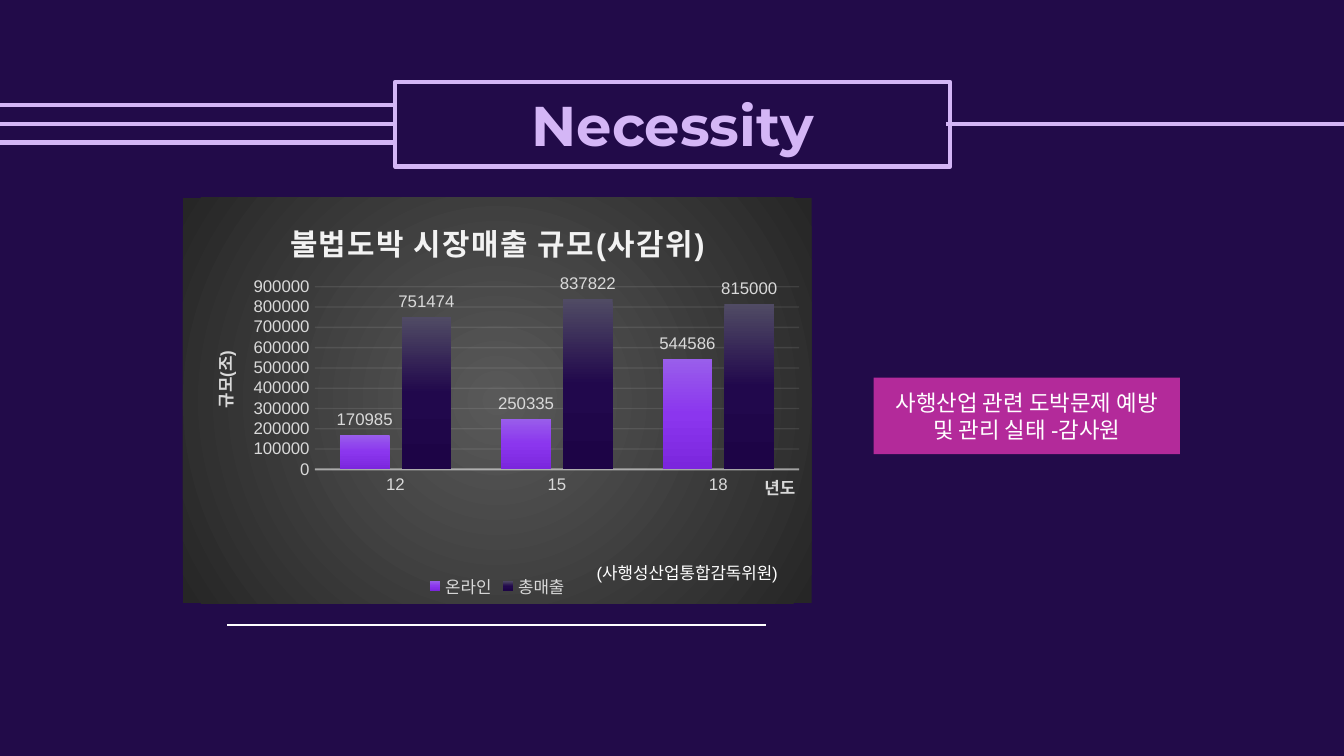
from lxml import etree
from pptx import Presentation
from pptx.chart.data import CategoryChartData
from pptx.dml.color import RGBColor
from pptx.enum import chart as ch, shapes, text
from pptx.oxml import parse_xml
from pptx.oxml.ns import nsdecls, qn
from pptx.util import Inches, Pt

# Content
HEADING = "Necessity"
SOURCE_NOTE = "사행산업 관련 도박문제 예방 및 관리 실태 -감사원"
COMMITTEE = "(사행성산업통합감독위원)"
CHART_TITLE = "불법도박 시장매출 규모(사감위)"
YEAR_TITLE, SCALE_TITLE = "년도", "규모(조)"
YEARS = ["12", "15", "18"]
SALES = [
    ("온라인", [170985, 250335, 544586], ["995EEB", "8B36EE", "7B26DD"]),
    ("총매출", [751474, 837822, 815000], ["504B64", "21084C", "1D0446"]),
]
COLORS = {"back": "220B49", "lilac": "D4B6F6", "pink": "B32A9A",
          "white": "FFFFFF", "label": "D9D9D9", "pale": "F2F2F2"}
PANEL = ["595959", "262626"]

# Layout in inches: left, top, width, height
SLIDE_W = 10
SLIDE_H = SLIDE_W * 9 / 16
BANNER = (2.94, 0.61, 4.13, 0.63)
NOTE = (6.5, 2.81, 2.28, 0.57)
CHART = (1.36, 1.47, 4.68, 3.02)
CAPTION = (4.34, 4.14, 2.31, 0.25)
RAIL_Y, RAIL_GAP = 0.92, 0.14
RAIL_START, RAIL_END = -0.02, 10.09
# Shares of the chart's size
PLOT = (0.21, 0.22, 0.77, 0.45)
YEAR_AT, SCALE_AT = (0.92, 0.67), (0.04, 0.37)


def rgb(name):
    return RGBColor.from_string(COLORS[name])


def box(at):
    return [Inches(v) for v in at]


def style(font, size, color, bold=False, face="Arial"):
    font.size, font.bold, font.name = Pt(size), bold, face
    font.color.rgb = rgb(color)


def rule(x1, x2, y, color, width):
    line = slide.shapes.add_connector(
        shapes.MSO_CONNECTOR.STRAIGHT, *box((x1, y, x2, y)))
    line.line.color.rgb, line.line.width = rgb(color), Pt(width)
    etree.SubElement(line._element.spPr, qn("a:effectLst"))


def panel(at, fill, words, size, color, bold=False, face="Arial"):
    shape = slide.shapes.add_shape(shapes.MSO_SHAPE.RECTANGLE, *box(at))
    shape.shadow.inherit = False
    shape.fill.solid()
    shape.fill.fore_color.rgb = rgb(fill)
    shape.line.fill.background()
    frame = shape.text_frame
    frame.margin_left = frame.margin_right = Inches(0.1)
    frame.margin_top = frame.margin_bottom = Inches(0.1)
    frame.word_wrap = True
    frame.vertical_anchor = text.MSO_ANCHOR.MIDDLE
    frame.text = words
    frame.paragraphs[0].alignment = text.PP_ALIGN.CENTER
    style(frame.paragraphs[0].runs[0].font, size, color, bold, face)
    return shape


def gradient(colors, direction):
    last = len(colors) - 1
    stops = "".join(
        f'<a:gs pos="{100000 * i // last}"><a:srgbClr val="{c}"/></a:gs>'
        for i, c in enumerate(colors))
    return parse_xml(f'<a:gradFill {nsdecls("a")}><a:gsLst>{stops}</a:gsLst>'
                     f'{direction}</a:gradFill>')


def layout(values, inner=False):
    names = ("x", "y", "w", "h")[:len(values)]
    parts = '<c:layoutTarget val="inner"/>' if inner else ""
    parts += "".join(f'<c:{n}Mode val="edge"/>' for n in names[:2])
    parts += "".join(f'<c:{n} val="{v}"/>' for n, v in zip(names, values))
    return parse_xml(f'<c:layout {nsdecls("c")}><c:manualLayout>{parts}'
                     '</c:manualLayout></c:layout>')


def place(element, values, inner=False):
    for old in element.findall(qn("c:layout")):
        element.remove(old)
    tx = element.find(qn("c:tx"))
    if tx is None:
        element.insert(0, layout(values, inner))
    else:
        tx.addnext(layout(values, inner))


def set_title(owner, words, size, color, at=None):
    frame = owner.text_frame
    frame.text = words
    style(frame.paragraphs[0].runs[0].font, size, color, True)
    if at:
        place(owner._element, at)


def axis_line(line, width, percent):
    line.color.rgb, line.width = rgb("pale"), Pt(width)
    color = line._get_or_add_ln().find(".//" + qn("a:srgbClr"))
    etree.SubElement(color, qn("a:alpha"), val=str(percent * 1000))


deck = Presentation()
deck.slide_width, deck.slide_height = box((SLIDE_W, SLIDE_H))
slide = deck.slides.add_slide(deck.slide_layouts[6])
slide.background.fill.solid()
slide.background.fill.fore_color.rgb = rgb("back")

# Heading, source note and rules
banner = panel(BANNER, "back", HEADING, 30, "lilac", True, "Montserrat")
banner.line.color.rgb, banner.line.width = rgb("lilac"), Pt(2.25)
panel(NOTE, "pink", SOURCE_NOTE, 12, "white")
rule(7.04, RAIL_END, RAIL_Y, "lilac", 2.25)
for step in (-1, 0, 1):
    rule(RAIL_START, BANNER[0], RAIL_Y + step * RAIL_GAP, "lilac", 2.25)
rule(1.69, 5.7, 4.65, "white", 0.75)

# Sales chart
data = CategoryChartData()
data.categories = YEARS
for name, values, _ in SALES:
    data.add_series(name, values)
chart = slide.shapes.add_chart(
    ch.XL_CHART_TYPE.COLUMN_CLUSTERED, *box(CHART), data).chart
style(chart.font, 9, "label")
set_title(chart.chart_title, CHART_TITLE, 16, "pale")
chart.chart_title.include_in_layout = False
chart.chart_title.text_frame.paragraphs[0].runs[0]._r.rPr.set("spc", "100")
chart.has_legend = True
chart.legend.position = ch.XL_LEGEND_POSITION.BOTTOM
chart.legend.include_in_layout = False
style(chart.legend.font, 9, "label")

backdrop = parse_xml(f'<c:spPr {nsdecls("c", "a")}><a:ln><a:noFill/></a:ln></c:spPr>')
backdrop.insert(0, gradient(
    PANEL, '<a:path path="circle"><a:fillToRect l="50000" t="50000" '
           'r="50000" b="50000"/></a:path>'))
chart._chartSpace.find(qn("c:txPr")).addprevious(backdrop)
place(chart._chartSpace.chart.plotArea, PLOT, inner=True)

years, scale = chart.category_axis, chart.value_axis
for axis, words, at in ((years, YEAR_TITLE, YEAR_AT), (scale, SCALE_TITLE, SCALE_AT)):
    set_title(axis.axis_title, words, 9, "label", at)
    axis.major_tick_mark = axis.minor_tick_mark = ch.XL_TICK_MARK.NONE
    style(axis.tick_labels.font, 9, "label")
body = scale.axis_title.text_frame._txBody.bodyPr
body.set("rot", "-5400000")
body.set("vert", "horz")
axis_line(years.format.line, 1, 54)
scale.format.line.fill.background()
axis_line(scale.major_gridlines.format.line, 0.75, 10)
scale.minimum_scale, scale.maximum_scale, scale.major_unit = 0, 900000, 100000

plot = chart.plots[0]
plot.gap_width, plot.overlap, plot.vary_by_categories = 100, -24, False
for series, (_, _, colors) in zip(plot.series, SALES):
    series._element.get_or_add_spPr().insert(
        0, gradient(colors, '<a:lin ang="5400000" scaled="0"/>'))
    labels = series.data_labels
    labels.show_value = True
    labels.position = ch.XL_LABEL_POSITION.OUTSIDE_END
    style(labels.font, 9, "label")

# Caption over the chart
caption = slide.shapes.add_textbox(*box(CAPTION)).text_frame
caption.word_wrap = True
caption.text = COMMITTEE
style(caption.paragraphs[0].runs[0].font, 9, "white")

deck.save("out.pptx")
